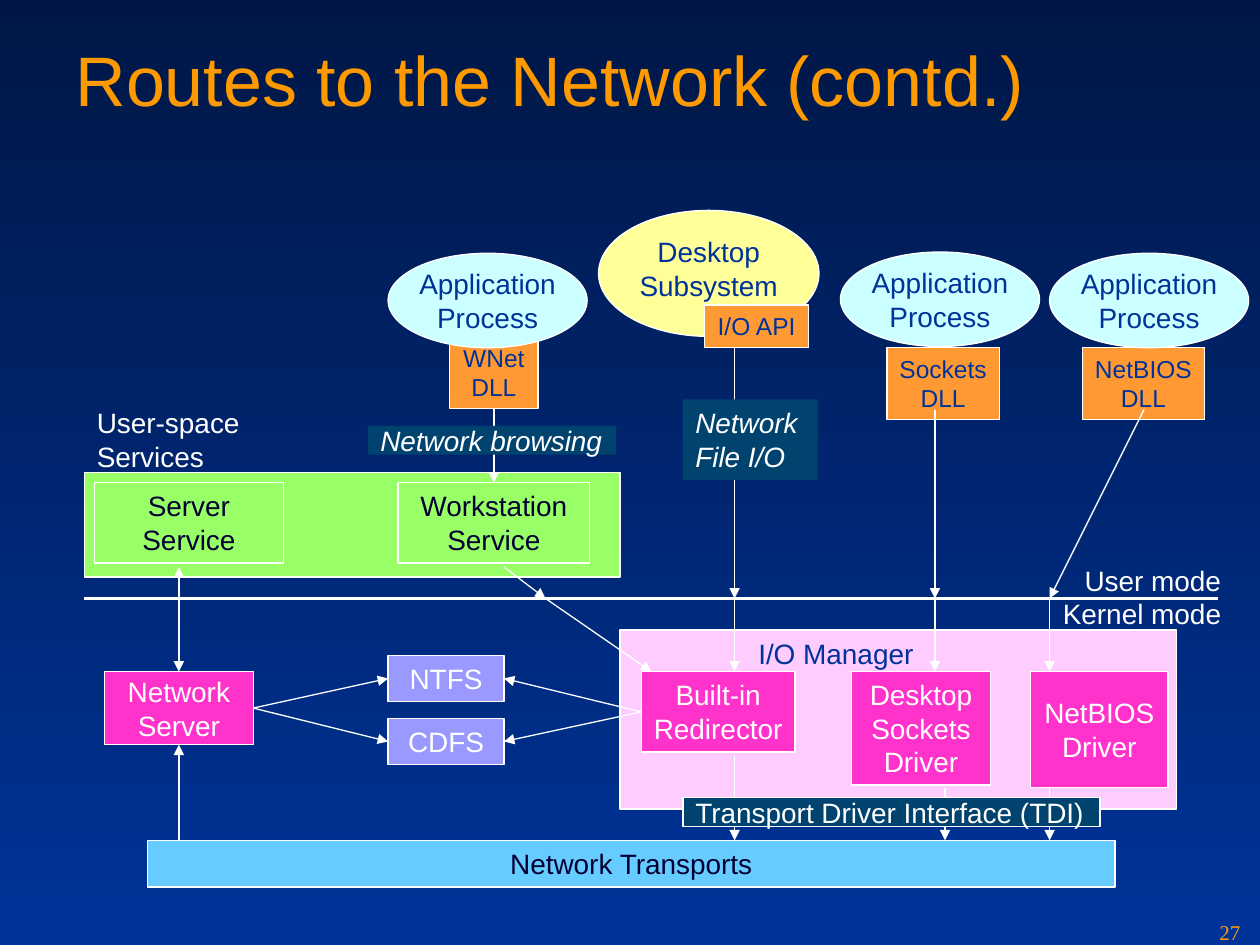
"""Build the slide on routes from user-mode programs to the network."""
from pptx import Presentation
from pptx.dml.color import RGBColor
from pptx.enum.shapes import MSO_CONNECTOR, MSO_SHAPE
from pptx.enum.text import MSO_ANCHOR, PP_ALIGN
from pptx.oxml.ns import qn
from pptx.util import Inches, Pt
from lxml.etree import SubElement

TITLE = "Routes to the Network (contd.)"
WHITE, NAVY, BLUE, GOLD = "FFFFFF", "000033", "003399", "FE9900"
TEAL = "00436E"
TOP, MIDDLE = MSO_ANCHOR.TOP, MSO_ANCHOR.MIDDLE
LEFT, CENTER, RIGHT = PP_ALIGN.LEFT, PP_ALIGN.CENTER, PP_ALIGN.RIGHT
SIDE_TOP, SIDE_LEFT, SIDE_BOTTOM, SIDE_RIGHT = range(4)

STYLES = {
    "panel_io": dict(fill="FFCCFF"),
    "panel_services": dict(fill="99FF66"),
    "dll": dict(fill="FF9933", color=BLUE, size=14),
    "process": dict(fill="CCFFFF", color=BLUE, anchor=MIDDLE, oval=True),
    "subsystem": dict(fill="FFFF99", color=BLUE, oval=True),
    "service": dict(color=NAVY),
    "driver": dict(fill="FF33CC"),
    "driver_middle": dict(fill="FF33CC", anchor=MIDDLE),
    "file_system": dict(fill="9999FF"),
    "transport": dict(fill="66CCFF", color=NAVY),
    "route": dict(fill=TEAL, line=None, align=LEFT, italic=True),
    "route_middle": dict(fill=TEAL, line=None, align=LEFT, italic=True, anchor=MIDDLE),
    "interface": dict(fill=TEAL, align=LEFT, anchor=MIDDLE),
    "note": dict(line=None, align=LEFT),
    "note_blue": dict(line=None, align=LEFT, color=BLUE),
    "note_right": dict(line=None, align=RIGHT),
    "page": dict(line=None, align=LEFT, color=GOLD, size=12, font="Times New Roman"),
}

PARTS = [
    ("io_panel", "panel_io", "", (4.92, 5, 4.42, 1.42)),
    ("services_panel", "panel_services", "", (0.67, 3.75, 4.25, 0.83)),
    ("sockets_dll", "dll", "Sockets\vDLL", (7.04, 2.76, 0.89, 0.57)),
    ("netbios_dll", "dll", "NetBIOS\vDLL", (8.59, 2.76, 0.97, 0.57)),
    ("wnet_dll", "dll", "WNet\vDLL", (3.57, 2.67, 0.7, 0.57)),
    ("netbios_app", "process", "Application\vProcess", (8.33, 2.01, 1.58, 0.75)),
    ("sockets_app", "process", "Application\vProcess", (6.67, 2, 1.58, 0.75)),
    ("wnet_app", "process", "Application\vProcess", (3.08, 2.01, 1.58, 0.75)),
    ("subsystem", "subsystem", "Desktop\vSubsystem", (4.75, 1.67, 1.75, 1)),
    ("io_api", "dll", "I/O API", (5.59, 2.42, 0.83, 0.34)),
    ("workstation", "service", "Workstation\vService", (3.16, 3.83, 1.52, 0.64)),
    ("server", "service", "Server\vService", (0.75, 3.83, 1.5, 0.64)),
    ("redirector", "driver", "Built-in\vRedirector", (5.09, 5.33, 1.22, 0.64)),
    ("sockets_driver", "driver", "Desktop\vSockets\vDriver", (6.76, 5.33, 1.1, 0.9)),
    ("netbios_driver", "driver_middle", "NetBIOS\vDriver", (8.18, 5.33, 1.09, 0.92)),
    ("transports", "transport", "Network Transports", (1.17, 6.67, 7.68, 0.37)),
    ("network_server", "driver_middle", "Network\vServer", (0.83, 5.33, 1.18, 0.58)),
    ("ntfs", "file_system", "NTFS", (3.08, 5.2, 0.92, 0.37)),
    ("cdfs", "file_system", "CDFS", (3.08, 5.7, 0.92, 0.37)),
]

LABELS = [
    ("note_right", "User mode\nKernel mode", (8.19, 4.42, 1.6, 0.64)),
    ("note_blue", "I/O Manager", (5.92, 5, 1.5, 0.37)),
    ("route", "Network\vFile I/O", (5.42, 3.17, 1.07, 0.64)),
    ("route_middle", "Network browsing", (2.92, 3.38, 1.97, 0.23)),
    ("interface", "Transport Driver Interface (TDI)", (5.42, 6.33, 3.31, 0.23)),
    ("note", "User-space\vServices", (0.67, 3.17, 1.5, 0.64)),
    ("page", "27", (9.58, 7.25, 0.42, 0.25)),
]

MODE_Y, DRIVER_Y, TRANSPORT_Y = 4.75, 5.33, 6.67
MODE_BORDER = ((0.67, MODE_Y), (9.67, MODE_Y))
ONE_WAY_ROUTES = [
    [(5.83, 2.75), (5.83, MODE_Y), (5.83, DRIVER_Y)],
    [(7.42, 3.25), (7.42, MODE_Y), (7.42, DRIVER_Y)],
    [(9.08, 3.25), (8.33, MODE_Y), (8.33, DRIVER_Y)],
    [(4, 4.5), (4.33, MODE_Y), (5.17, DRIVER_Y)],
    [(5.83, 6), (5.83, TRANSPORT_Y)],
    [(7.5, 6.25), (7.5, TRANSPORT_Y)],
    [(8.33, 6.25), (8.33, TRANSPORT_Y)],
    [("wnet_dll", SIDE_BOTTOM), ("workstation", SIDE_TOP)],
    [("redirector", SIDE_LEFT), ("ntfs", SIDE_RIGHT)],
    [("redirector", SIDE_LEFT), ("cdfs", SIDE_RIGHT)],
    [("network_server", SIDE_RIGHT), ("ntfs", SIDE_LEFT)],
    [("network_server", SIDE_RIGHT), ("cdfs", SIDE_LEFT)],
    [(1.42, TRANSPORT_Y), ("network_server", SIDE_BOTTOM)],
]
TWO_WAY_ROUTE = (("network_server", SIDE_TOP), (1.42, 4.5))


def rgb(code):
    """Turn a hex string into a colour."""
    return RGBColor.from_string(code)


def write(frame, text, color, size, font="Arial", align=LEFT, anchor=TOP, italic=False):
    """Fill a text frame and format its runs."""
    frame.text = text
    frame.vertical_anchor = anchor
    for paragraph in frame.paragraphs:
        paragraph.alignment = align
        for run in paragraph.runs:
            run.font.name, run.font.size = font, Pt(size)
            run.font.color.rgb = rgb(color)
            if italic:
                run.font.italic = True


def add_part(slide, text, box, fill=None, line=WHITE, color=WHITE, size=16,
             oval=False, align=CENTER, **text_style):
    """Add a box, an oval or a bare label."""
    place = [Inches(length) for length in box]
    if fill or line:
        part = slide.shapes.add_shape(MSO_SHAPE.OVAL if oval else MSO_SHAPE.RECTANGLE, *place)
        part.shadow.inherit = False
        if fill:
            part.fill.solid()
            part.fill.fore_color.rgb = rgb(fill)
        else:
            part.fill.background()
        if line:
            part.line.color.rgb = rgb(line)
            part.line.width = Pt(0.75)
        else:
            part.line.fill.background()
        part.text_frame.word_wrap = False
    else:
        part = slide.shapes.add_textbox(*place)
        part.text_frame.word_wrap = True
    if text:
        write(part.text_frame, text, color, size, align=align, **text_style)
    return part


def add_route(slide, parts, start, end, arrows=("tailEnd",), width=0.75):
    """Draw a line between two points, each fixed or on the side of a part."""
    route = slide.shapes.add_connector(MSO_CONNECTOR.STRAIGHT, 0, 0, 0, 0)
    if start[0] in parts:
        route.begin_connect(parts[start[0]], start[1])
    else:
        route.begin_x, route.begin_y = map(Inches, start)
    if end[0] in parts:
        route.end_connect(parts[end[0]], end[1])
    else:
        route.end_x, route.end_y = map(Inches, end)
    route.line.color.rgb = rgb(WHITE)
    route.line.width = Pt(width)
    properties = route._element.spPr
    for arrow in arrows:
        SubElement(properties.find(qn("a:ln")), qn(f"a:{arrow}"), type="triangle")
    SubElement(properties, qn("a:effectLst"))


def main():
    """Build and save the slide."""
    deck = Presentation()
    deck.slide_width, deck.slide_height = Inches(10), Inches(7.5)
    slide = deck.slides.add_slide(deck.slide_layouts[5])

    backdrop = slide.background.fill
    backdrop.gradient()
    backdrop.gradient_angle = 270
    for stop, code in zip(backdrop.gradient_stops, ("001746", BLUE)):
        stop.color.rgb = rgb(code)

    title = slide.shapes.title
    title.left, title.top = Inches(0.5), Inches(0.24)
    title.width, title.height = Inches(9), Inches(1.25)
    write(title.text_frame, TITLE, GOLD, 40)

    parts = {key: add_part(slide, text, box, **STYLES[style])
             for key, style, text, box in PARTS}
    add_route(slide, parts, *MODE_BORDER, arrows=(), width=2.25)
    for stops in ONE_WAY_ROUTES:
        for start, end in zip(stops, stops[1:]):
            add_route(slide, parts, start, end)
    add_route(slide, parts, *TWO_WAY_ROUTE, arrows=("headEnd", "tailEnd"))
    for style, text, box in LABELS:
        add_part(slide, text, box, **STYLES[style])
    deck.save("out.pptx")


if __name__ == "__main__":
    main()
